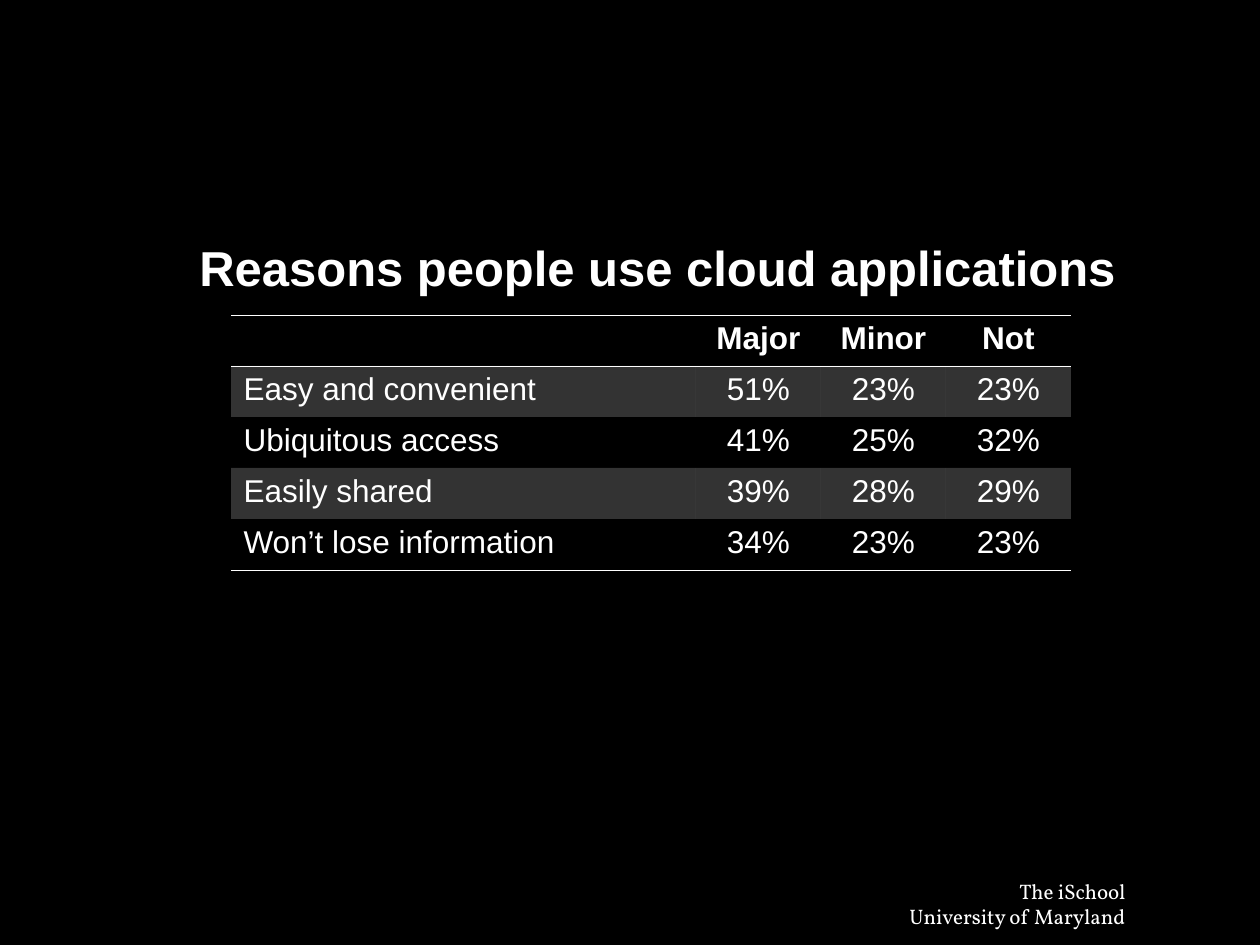
import pptx
import pptx.util
import pptx.dml.color
import pptx.enum.text
import pptx.oxml
import pptx.oxml.ns
from lxml import etree

COLORS = {"background": "000000", "text": "FFFFFF", "rule": "FFFFFF", "band": "FFFFFF"}
TITLE = "Reasons people use cloud applications"
FOOTER = ["The iSchool", "University of Maryland"]
ROWS = [
    ("", "Major", "Minor", "Not"),
    ("Easy and convenient", "51%", "23%", "23%"),
    ("Ubiquitous access", "41%", "25%", "32%"),
    ("Easily shared", "39%", "28%", "29%"),
    ("Won’t lose information", "34%", "23%", "23%"),
]
COLUMN_WIDTHS = [465, 125, 125, 125]
ROW_HEIGHT = 51
TABLE_LEFT, TABLE_TOP = 231, 315
RULE_WIDTH = 0.45
BAND_ALPHA = 20
ALIGN = pptx.enum.text.PP_ALIGN


def px(length):
    return pptx.util.Emu(round(length * 914400 / 126))


def rgb(name):
    return pptx.dml.color.RGBColor.from_string(COLORS[name])


def write(frame, lines, size, font="Arial", bold=False, align=ALIGN.LEFT):
    for index, line in enumerate(lines):
        paragraph = frame.paragraphs[0] if index == 0 else frame.add_paragraph()
        paragraph.text = line
        paragraph.alignment = align
        paragraph.font.name = font
        paragraph.font.size = pptx.util.Pt(size)
        paragraph.font.bold = bold
        paragraph.font.color.rgb = rgb("text")


def add_text(slide, box, lines, **text_format):
    frame = slide.shapes.add_textbox(*map(px, box)).text_frame
    frame.word_wrap = False
    frame.auto_size = pptx.enum.text.MSO_AUTO_SIZE.SHAPE_TO_FIT_TEXT
    write(frame, lines, **text_format)


def set_borders(cell, ruled_sides):
    properties = cell._tc.get_or_add_tcPr()
    for position, side in enumerate("LRTB"):
        line = etree.Element(pptx.oxml.ns.qn(f"a:ln{side}"))
        if side in ruled_sides:
            line.set("w", str(pptx.util.Pt(RULE_WIDTH)))
            fill = etree.SubElement(line, pptx.oxml.ns.qn("a:solidFill"))
            etree.SubElement(fill, pptx.oxml.ns.qn("a:srgbClr"), val=COLORS["rule"])
        else:
            etree.SubElement(line, pptx.oxml.ns.qn("a:noFill"))
        properties.insert(position, line)


def set_fill(cell, banded):
    if not banded:
        cell.fill.background()
        return
    cell.fill.solid()
    cell.fill.fore_color.rgb = rgb("band")
    color = cell._tc.tcPr.find(pptx.oxml.ns.qn("a:solidFill"))[0]
    etree.SubElement(color, pptx.oxml.ns.qn("a:alpha"), val=str(BAND_ALPHA * 1000))


def add_reasons_table(slide):
    table = slide.shapes.add_table(
        len(ROWS), len(COLUMN_WIDTHS), px(TABLE_LEFT), px(TABLE_TOP),
        px(sum(COLUMN_WIDTHS)), px(ROW_HEIGHT * len(ROWS)),
    ).table
    table.first_row = table.horz_banding = False
    for column, width in zip(table.columns, COLUMN_WIDTHS):
        column.width = px(width)
    ruled_sides = {0: "TB", 1: "T", len(ROWS) - 1: "B"}
    for row_index, values in enumerate(ROWS):
        table.rows[row_index].height = px(ROW_HEIGHT)
        for column_index, value in enumerate(values):
            cell = table.cell(row_index, column_index)
            set_fill(cell, row_index % 2 == 1)
            set_borders(cell, ruled_sides.get(row_index, ""))
            if value:
                write(cell.text_frame, [value], size=18, bold=row_index == 0,
                      align=ALIGN.CENTER if column_index else ALIGN.LEFT)


def main():
    presentation = pptx.Presentation()
    presentation.slide_width, presentation.slide_height = px(1260), px(945)
    slide = presentation.slides.add_slide(presentation.slide_layouts[6])
    slide.background.fill.solid()
    slide.background.fill.fore_color.rgb = rgb("background")
    add_text(slide, (894, 872, 244, 63), FOOTER, size=12, font="Vollkorn", align=ALIGN.RIGHT)
    add_reasons_table(slide)
    add_text(slide, (187, 231, 942, 72), [TITLE], size=28, bold=True)
    presentation.save("out.pptx")


if __name__ == "__main__":
    main()
